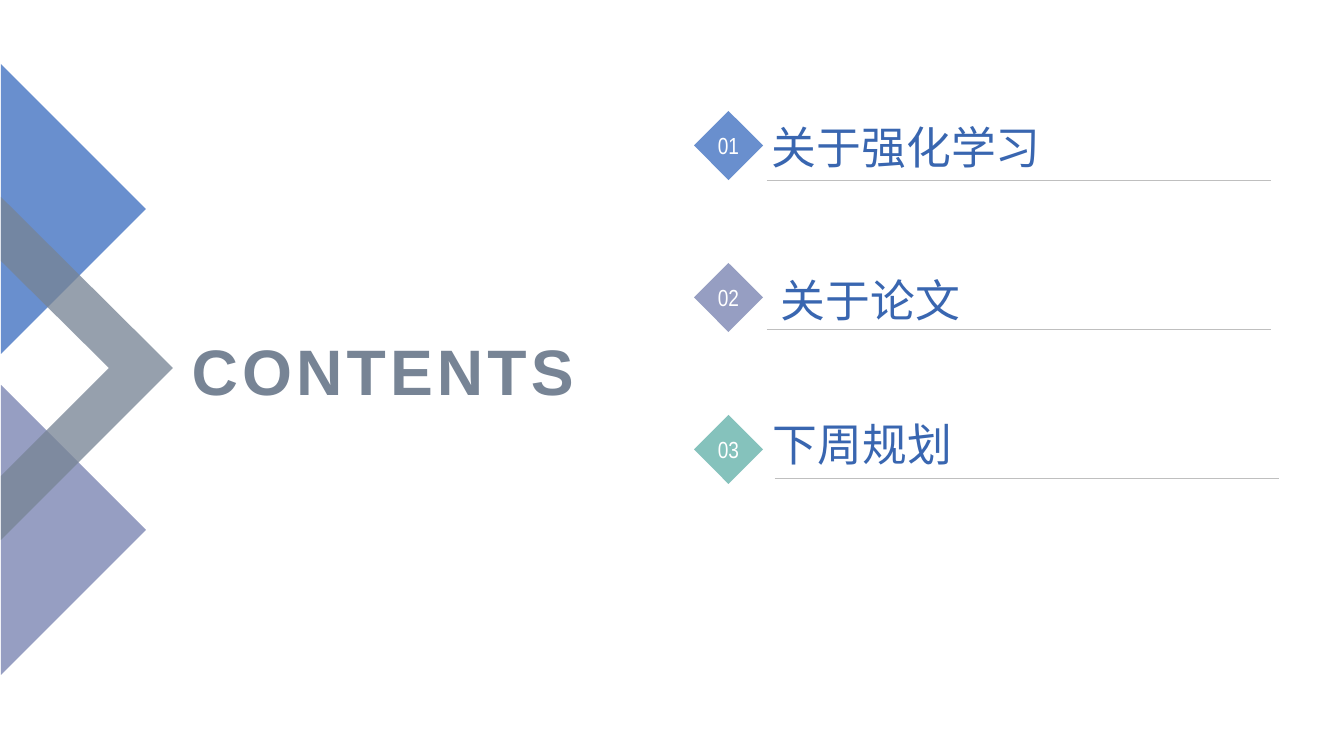
from lxml import etree
from pptx import Presentation
from pptx.dml.color import RGBColor
from pptx.enum.shapes import MSO_CONNECTOR, MSO_SHAPE
from pptx.enum.text import MSO_ANCHOR, MSO_AUTO_SIZE, PP_ALIGN
from pptx.oxml.ns import qn
from pptx.util import Pt

PX = 914400 / 100.8
SLIDE_SIZE = (1344, 756)

BLUE, PURPLE, GREEN, SLATE = "698FCE", "969EC2", "85C2BC", "778495"
WHITE, RULE_GREY, TOPIC_BLUE = "FFFFFF", "BFBFBF", "3966B0"

# Corner points, colour, opacity in percent
EDGE_SHAPES = [
    ([(1, 675), (1, 385), (146, 530)], PURPLE, 100),
    ([(1, 64), (146, 209), (1, 354)], BLUE, 100),
    ([(173, 368), (1, 540), (1, 476), (109, 368), (1, 261), (1, 197)], SLATE, 77),
]
HEADING = "CONTENTS"
HEADING_BOX = (171, 319, 413, 102)

# Number, topic, diamond colour, topic left and top, rule left
TOPICS = [
    ("01", "关于强化学习", BLUE, 762, 115, 767),
    ("02", "关于论文", PURPLE, 771, 268, 767),
    ("03", "下周规划", GREEN, 763, 412, 775),
]
TOPIC_SIZE = (341, 65)
DIAMOND_LEFT, DIAMOND_TOP, DIAMOND_SIDE, DIAMOND_STEP = 694, 111, 69, 152
RULE_TOP, RULE_LENGTH, RULE_STEP = 180, 504, 149


def emu(*lengths):
    return [round(length * PX) for length in lengths]


def rgb(color):
    return RGBColor.from_string(color)


def paint(shape, color, opacity=100):
    shape.shadow.inherit = False
    shape.fill.solid()
    shape.fill.fore_color.rgb = rgb(color)
    shape.line.fill.background()
    if opacity < 100:
        hue = shape.fill._xPr.find(".//" + qn("a:srgbClr"))
        etree.SubElement(hue, qn("a:alpha")).set("val", str(opacity * 1000))


def write(frame, text, size, color, font="Arial", align=PP_ALIGN.LEFT):
    paragraph = frame.paragraphs[0]
    paragraph.alignment = align
    run = paragraph.add_run()
    run.text = text
    run.font.name = font
    run.font.size = Pt(size)
    run.font.color.rgb = rgb(color)
    return run


def add_edge_shape(shapes, points, color, opacity):
    builder = shapes.build_freeform(*points[0], scale=PX)
    builder.add_line_segments(points[1:], close=True)
    paint(builder.convert_to_shape(), color, opacity)


def add_heading(shapes):
    frame = shapes.add_textbox(*emu(*HEADING_BOX)).text_frame
    frame.word_wrap = True
    frame.vertical_anchor = MSO_ANCHOR.MIDDLE
    run = write(frame, HEADING, 45.9, SLATE, align=PP_ALIGN.RIGHT)
    run.font.bold = True
    run._r.get_or_add_rPr().set("spc", "300")


def add_topic(shapes, row, number, topic, color, left, top, rule_left):
    """Add the numbered diamond, the rule and the topic of one row."""
    diamond_top = DIAMOND_TOP + row * DIAMOND_STEP
    diamond = shapes.add_shape(
        MSO_SHAPE.DIAMOND, *emu(DIAMOND_LEFT, diamond_top, DIAMOND_SIDE, DIAMOND_SIDE))
    paint(diamond, color)
    diamond.text_frame.word_wrap = False
    diamond.text_frame.vertical_anchor = MSO_ANCHOR.MIDDLE
    write(diamond.text_frame, number, 16.6, WHITE, "Arial Narrow", PP_ALIGN.CENTER)

    rule_y = RULE_TOP + row * RULE_STEP
    rule = shapes.add_connector(
        MSO_CONNECTOR.STRAIGHT, *emu(rule_left, rule_y, rule_left + RULE_LENGTH, rule_y))
    rule.line.color.rgb = rgb(RULE_GREY)
    rule.line.width = Pt(0.25)
    etree.SubElement(rule._element.spPr, qn("a:effectLst"))

    frame = shapes.add_textbox(*emu(left, top, *TOPIC_SIZE)).text_frame
    frame.word_wrap = True
    frame.auto_size = MSO_AUTO_SIZE.SHAPE_TO_FIT_TEXT
    write(frame, topic, 32, TOPIC_BLUE)


def main():
    deck = Presentation()
    deck.slide_width, deck.slide_height = emu(*SLIDE_SIZE)
    shapes = deck.slides.add_slide(deck.slide_layouts[6]).shapes
    for edge_shape in EDGE_SHAPES:
        add_edge_shape(shapes, *edge_shape)
    add_heading(shapes)
    for row, topic in enumerate(TOPICS):
        add_topic(shapes, row, *topic)
    deck.save("out.pptx")


if __name__ == "__main__":
    main()
